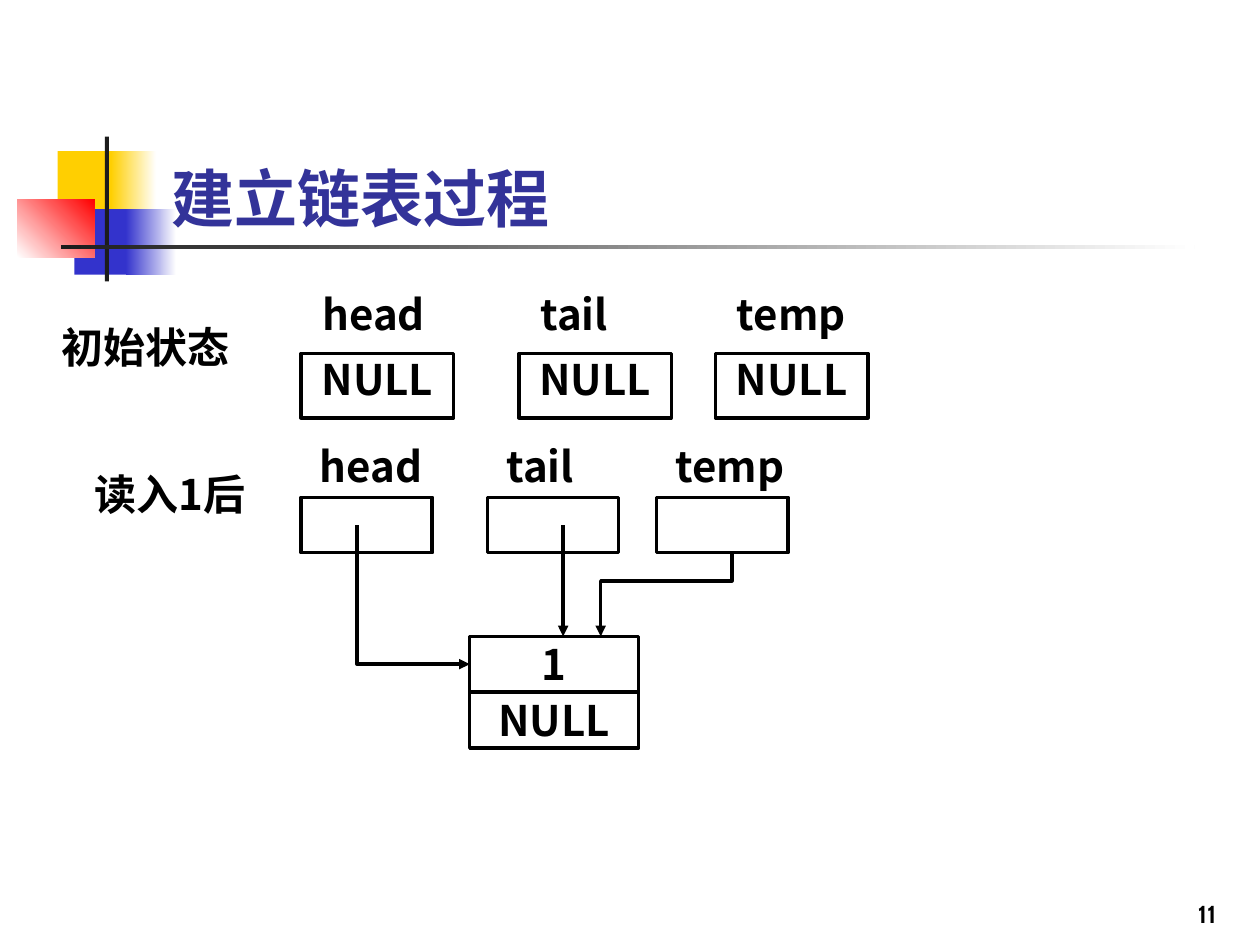
import dataclasses

import lxml.etree
import pptx
import pptx.dml.color
import pptx.enum.shapes
import pptx.enum.text
import pptx.oxml.ns
import pptx.util

Pt = pptx.util.Pt
ALIGN = pptx.enum.text.PP_ALIGN
ANCHOR = pptx.enum.text.MSO_ANCHOR
qn = pptx.oxml.ns.qn


@dataclasses.dataclass(frozen=True)
class Theme:
    font: str = "Noto Sans CJK SC"
    number_font: str = "Cabin"
    title_size: int = 36
    body_size: int = 24
    number_size: int = 14
    line_width: int = 2
    title: str = "333399"
    ink: str = "000000"
    paper: str = "FFFFFF"
    yellow: str = "FFCF01"
    blue: str = "3333CC"
    red: str = "FF0000"
    bar: str = "1C1C1C"


def rgb(color):
    return pptx.dml.color.RGBColor.from_string(color)


class SlideBuilder:
    def __init__(self, s, theme):
        self.s = s
        self.theme = theme

    def add_text(self, tf, text, size, color, align, font=None):
        p = tf.paragraphs[0]
        p.alignment = align
        r = p.add_run()
        r.text = text
        r.font.size = Pt(size)
        r.font.bold = True
        r.font.name = font or self.theme.font
        r.font.color.rgb = rgb(color)
        ea = lxml.etree.SubElement(r.font._element, qn("a:ea"))
        ea.set("typeface", font or self.theme.font)

    def title(self, text, x, y, w, h):
        sp = self.s.shapes.title
        sp.left, sp.top, sp.width, sp.height = map(Pt, (x, y, w, h))
        sp.element.getparent().append(sp.element)
        tf = sp.text_frame
        tf.auto_size = pptx.enum.text.MSO_AUTO_SIZE.NONE
        tf.vertical_anchor = ANCHOR.BOTTOM
        self.add_text(tf, text, self.theme.title_size, self.theme.title, ALIGN.LEFT)

    def number(self, text, x, y, w, h):
        tf = self.s.shapes.add_textbox(*map(Pt, (x, y, w, h))).text_frame
        tf.word_wrap = True
        tf.vertical_anchor = ANCHOR.BOTTOM
        self.add_text(tf, text, self.theme.number_size, self.theme.ink,
                      ALIGN.RIGHT, self.theme.number_font)

    def rect(self, x, y, w, h, fill):
        kind = pptx.enum.shapes.MSO_SHAPE.RECTANGLE
        sp = self.s.shapes.add_shape(kind, *map(Pt, (x, y, w, h)))
        sp.shadow.inherit = False
        sp.fill.solid()
        sp.fill.fore_color.rgb = rgb(fill)
        sp.line.fill.background()
        return sp

    def fade(self, x, y, w, h, start, end, angle=0):
        sp = self.rect(x, y, w, h, start)
        sp.fill.gradient()
        sp.fill.gradient_angle = angle
        for stop, color, position in zip(sp.fill.gradient_stops, (start, end), (0, 1)):
            stop.color.rgb = rgb(color)
            stop.position = position

    def label(self, text, x, y, w, h, align=ALIGN.JUSTIFY, inset=0):
        sp = self.rect(x, y, w, h, self.theme.paper)
        tf = sp.text_frame
        tf.word_wrap = True
        tf.vertical_anchor = ANCHOR.TOP
        tf.margin_left = tf.margin_right = 0
        tf.margin_top = tf.margin_bottom = Pt(inset)
        if text:
            self.add_text(tf, text, self.theme.body_size, self.theme.ink, align)
        return sp

    def box(self, text, x, y, w, h, inset=0):
        self.outline(self.label(text, x, y, w, h, ALIGN.CENTER, inset))

    def outline(self, sp):
        sp.line.color.rgb = rgb(self.theme.ink)
        sp.line.width = Pt(self.theme.line_width)

    def add_head(self, sp):
        self.outline(sp)
        ln = sp.line._get_or_add_ln()
        lxml.etree.SubElement(ln, qn("a:tailEnd")).set("type", "triangle")

    def arrow(self, x1, y1, x2, y2):
        kind = pptx.enum.shapes.MSO_CONNECTOR.STRAIGHT
        sp = self.s.shapes.add_connector(kind, *map(Pt, (x1, y1, x2, y2)))
        self.add_head(sp)
        lxml.etree.SubElement(sp._element.spPr, qn("a:effectLst"))

    def elbow(self, points):
        points = [(Pt(x), Pt(y)) for x, y in points]
        builder = self.s.shapes.build_freeform(*points[0])
        builder.add_line_segments(points[1:], close=False)
        sp = builder.convert_to_shape()
        sp.shadow.inherit = False
        sp.fill.background()
        self.add_head(sp)


def draw_decoration(b):
    t = b.theme
    b.rect(33, 86.4, 34.6, 37.4, t.yellow)
    b.fade(63.4, 86.4, 25.9, 37.4, t.yellow, t.paper)
    b.rect(42.5, 119.5, 33.1, 37.4, t.blue)
    b.fade(72, 119.5, 28.8, 37.4, t.blue, t.paper)
    b.fade(10, 113.8, 44, 33.1, t.paper, t.red, 45)
    b.rect(59.9, 78, 2.4, 82.8, t.bar)
    b.fade(34.7, 140, 648, 2.5, t.bar, t.paper)


def draw_pointers(b, columns, indent, label_y, label_size, box_y, box_size, value):
    for name, x in zip(("head", "tail", "temp"), columns):
        b.label(name, x + indent, label_y, *label_size)
    for x in columns:
        b.box(value, x, box_y, *box_size)


def main():
    prs = pptx.Presentation()
    prs.slide_width, prs.slide_height = Pt(720), Pt(540)
    s = prs.slides.add_slide(prs.slide_layouts[5])
    b = SlideBuilder(s, Theme())

    draw_decoration(b)
    b.number("11", 552.2, 498.2, 149.8, 36)
    b.title("建立链表过程", 90.7, 48.2, 613.4, 90)

    b.label("初始状态", 35.3, 183.6, 106.6, 55.4)
    draw_pointers(b, (172, 296.5, 408.8), 12.3, 165, (77, 36.7),
                  202, (87.2, 36.8), "NULL")

    node_x, node_y, node_w, node_h = 268.4, 363.6, 96.6, 31.9
    start_y = 300.2
    b.label("读入1后", 54, 267.8, 107.3, 47.5)
    bend_y = (start_y + node_y) / 2
    b.elbow([(418.3, start_y), (418.3, bend_y), (343.3, bend_y), (343.3, node_y)])
    draw_pointers(b, (172, 278.6, 375.2), 10.8, 252, (67, 31.7),
                  284.2, (75, 31.7), None)
    for i, text in enumerate(("1", "NULL")):
        b.box(text, node_x, node_y + i * node_h, node_w, node_h, 1.4)
    b.arrow(321.8, start_y, 321.8, node_y)
    middle_y = node_y + node_h / 2
    b.elbow([(204, start_y), (204, middle_y), (node_x, middle_y)])

    prs.save("out.pptx")


if __name__ == "__main__":
    main()
